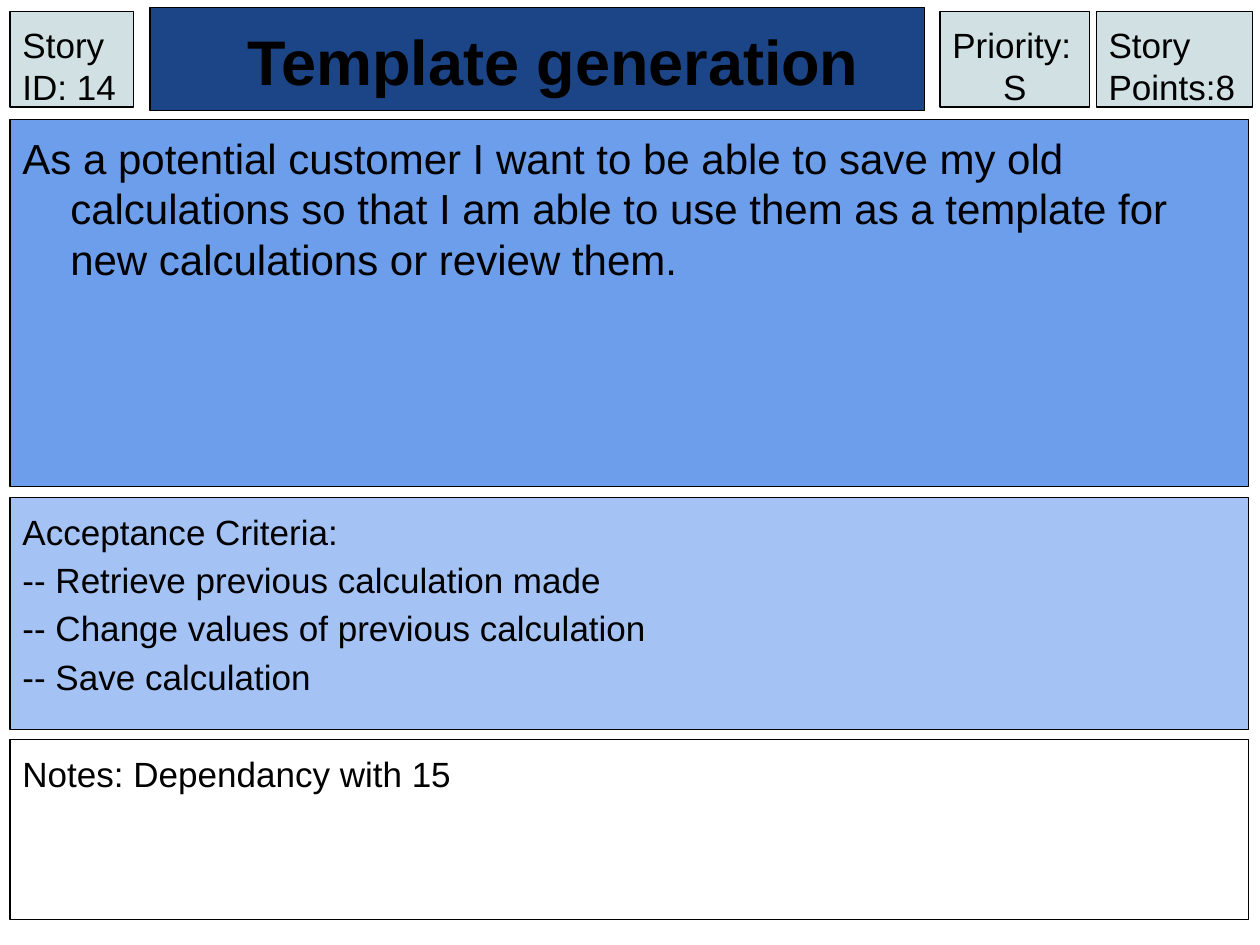
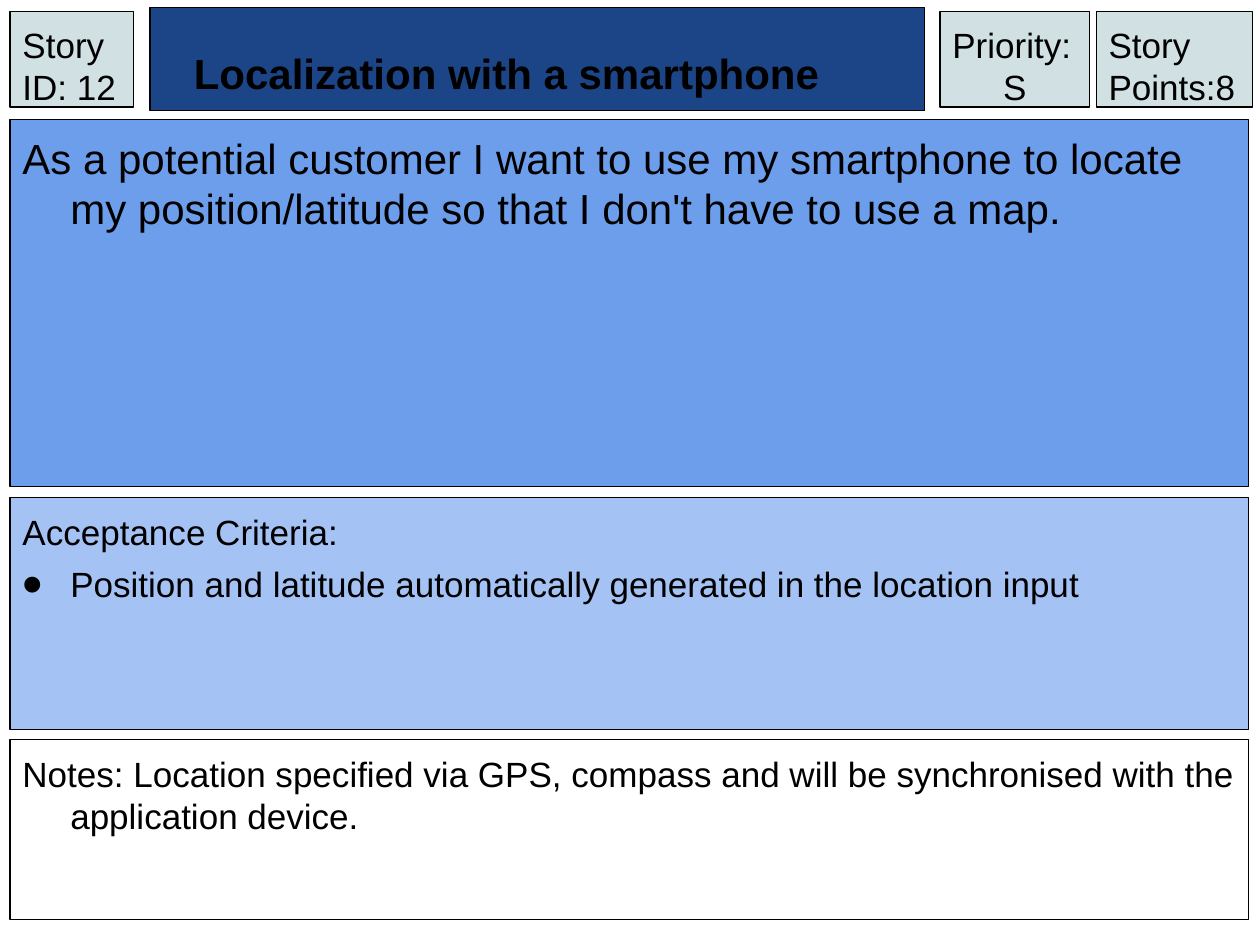
"""Build two user story cards with a shared layout."""
from dataclasses import dataclass

from lxml.etree import SubElement as Sub
from pptx import Presentation
from pptx.dml.color import RGBColor as RGB
from pptx.enum.shapes import MSO_SHAPE as Kind
from pptx.enum.text import MSO_ANCHOR as Anchor, PP_ALIGN as Align
from pptx.oxml.ns import qn
from pptx.util import Inches, Pt


@dataclass(frozen=True)
class Theme:
    font: str = "Arial"
    ink: str = "000000"
    navy: str = "1C4587"
    blue: str = "6D9EEB"
    pale: str = "A4C2F4"
    mist: str = "D0E0E3"
    head: int = 36
    lead: int = 24
    body: int = 20
    edge: float = 0.75
    pad: float = 0.1
    hang: float = 0.38
    gap: int = 6


def write(frame, text, size, theme, first=False, bold=False, align=Align.LEFT,
          left=0, indent=0, before=0, lines=None, bullet=False):
    para = frame.paragraphs[0] if first else frame.add_paragraph()
    props = para._p.get_or_add_pPr()
    props.set("marL", str(Inches(left)))
    props.set("indent", str(Inches(indent)))
    if bullet:
        color = Sub(props, qn("a:buClr"))
        Sub(color, qn("a:srgbClr"), val=theme.ink)
        Sub(props, qn("a:buSzPct"), val="167000")
        Sub(props, qn("a:buFont"), typeface=theme.font)
        Sub(props, qn("a:buChar"), char="•")
    para.alignment = align
    if before and not first:
        para.space_before = Pt(before)
    if lines:
        para.line_spacing = lines
    run = para.add_run()
    run.text = text
    run.font.name = theme.font
    run.font.size = Pt(size)
    run.font.bold = bold
    run.font.color.rgb = RGB.from_string(theme.ink)


class Card:
    def __init__(self, deck, theme):
        self.theme = theme
        self.slide = deck.slides.add_slide(deck.slide_layouts[6])

    def box(self, left, top, width, height, fill=None, anchor=Anchor.TOP):
        shape = self.slide.shapes.add_shape(
            Kind.RECTANGLE, *map(Inches, (left, top, width, height)))
        shape.shadow.inherit = False
        if fill:
            shape.fill.solid()
            shape.fill.fore_color.rgb = RGB.from_string(fill)
        else:
            shape.fill.background()
        shape.line.color.rgb = RGB.from_string(self.theme.ink)
        shape.line.width = Pt(self.theme.edge)
        frame = shape.text_frame
        frame.word_wrap = True
        frame.vertical_anchor = anchor
        frame.margin_left = frame.margin_right = Inches(self.theme.pad)
        frame.margin_top = frame.margin_bottom = Inches(self.theme.pad)
        return frame

    def title(self, text, size, align):
        frame = self.box(1.19, 0.06, 6.15, 0.82, self.theme.navy, Anchor.BOTTOM)
        write(frame, text, size, self.theme, first=True, bold=True,
              align=align, indent=0.25)

    def panel(self, top, height, text, size, fill=None):
        frame = self.box(0.08, top, 9.83, height, fill)
        self.item(frame, text, size, first=True)
        return frame

    def item(self, frame, text, size, **form):
        hang = self.theme.hang
        write(frame, text, size, self.theme, left=hang, indent=-hang,
              before=self.theme.gap, **form)

    def goals(self, goals, bullet):
        size = self.theme.body
        frame = self.panel(3.95, 1.84, "Acceptance Criteria:", size, self.theme.pale)
        for goal in goals:
            if bullet:
                self.item(frame, goal, size, bullet=True)
            else:
                write(frame, f"-- {goal}", size, self.theme, lines=1.15)

    def tag(self, left, width, text, value=None):
        frame = self.box(left, 0.09, width, 0.76, self.theme.mist)
        write(frame, text, self.theme.body, self.theme, first=True)
        if value:
            write(frame, value, self.theme.body, self.theme, align=Align.CENTER)


def story(deck, theme, number, title, size, align, need, goals, bullet, notes):
    card = Card(deck, theme)
    card.panel(0.95, 2.91, need, theme.lead, theme.blue)
    card.title(title, size, align)
    card.goals(goals, bullet)
    card.panel(5.87, 1.43, f"Notes: {notes}", theme.body)
    card.tag(8.7, 1.24, "Story Points:8")
    card.tag(7.46, 1.19, "Priority:", "S")
    card.tag(0.08, 0.98, f"Story ID: {number}")


def main():
    deck = Presentation()
    deck.slide_width, deck.slide_height = Inches(10), Inches(7.5)
    theme = Theme()
    story(deck, theme, 14, "Template generation", theme.head, Align.CENTER,
          need="As a potential customer I want to be able to save my old "
               "calculations so that I am able to use them as a template for "
               "new calculations or review them.",
          goals=["Retrieve previous calculation made",
                 "Change values of previous calculation",
                 "Save calculation"],
          bullet=False, notes="Dependancy with 15")
    story(deck, theme, 12, "Localization with a smartphone", theme.lead, Align.LEFT,
          need="As a potential customer I want to use my smartphone to locate "
               "my position/latitude so that I don't have to use a map.",
          goals=["Position and latitude automatically generated in the location input"],
          bullet=True,
          notes="Location specified via GPS, compass and will be synchronised "
                "with the application device.")
    deck.save("out.pptx")


if __name__ == "__main__":
    main()
